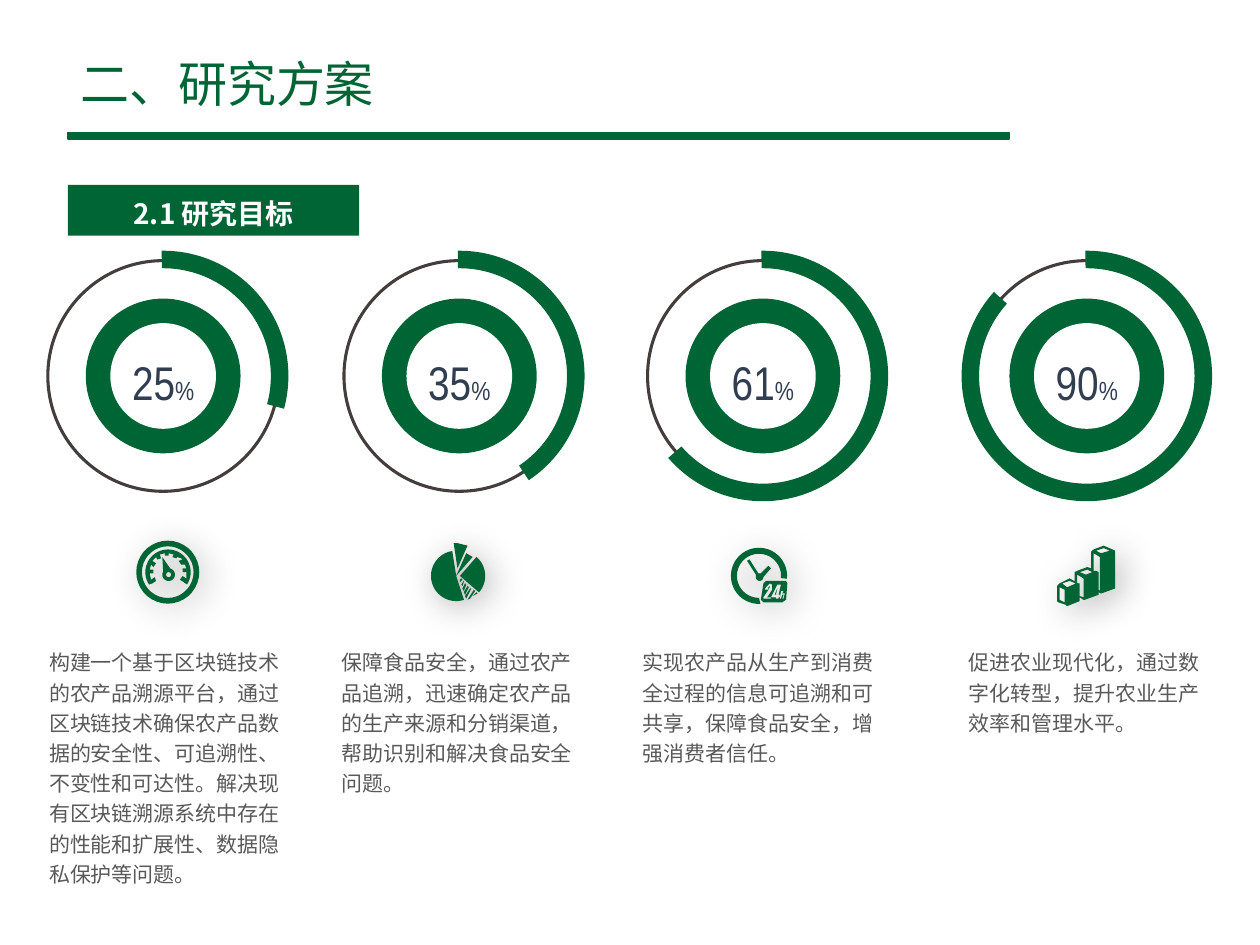
"""Build the research objectives slide with four progress dials."""
from dataclasses import dataclass
from math import cos, radians, sin

from lxml import etree
from pptx import Presentation
from pptx import util as u
from pptx.dml.color import RGBColor
from pptx.enum import shapes, text
from pptx.oxml import ns


@dataclass(frozen=True)
class Theme:
    green: str = "006534"
    outline: str = "433D3C"
    number: str = "313D51"
    body: str = "595959"
    white: str = "FFFFFF"
    cjk: str = "Noto Sans CJK SC"
    narrow: str = "Arial Narrow"
    title_size: int = 28
    label_size: int = 16
    body_size: int = 12
    number_size: int = 27
    percent_size: int = 15


def arc(x, y, radius, start=0, stop=360):
    steps = 36
    angles = [radians(start + (stop - start) * i / steps) for i in range(steps + 1)]
    return [(x + radius * cos(a), y + radius * sin(a)) for a in angles]


THEME = Theme()
TITLE = "二、研究方案"
LABEL = "2.1 研究目标"

GAUGE = [
    arc(25.3, 25, 25),
    arc(25.3, 25, 20.5),
    arc(25.5, 25, 18, 147, 393) + [
        (38, 33), (35, 31), (37, 28), (40, 30), (40, 25), (37, 25), (37, 22), (40, 22),
        (39, 19), (36, 19), (34, 16), (37, 15), (36, 14), (33, 13), (32, 14), (29, 13),
        (30, 11), (26, 10), (26, 12), (23, 12), (23, 10), (19, 11), (20, 14), (17, 15),
        (16, 13), (13, 16), (16, 18), (14, 21), (12, 19), (11, 23), (14, 23), (14, 26),
        (11, 26), (12, 31), (15, 29), (16, 32), (13, 34)],
    [(21, 13)] + arc(26, 27, 5, -75, 210),
    arc(26, 27, 2),
]
PIE = [
    [(23, 26)] + arc(23, 26, 20, -49, 41),
    [(28, 8), (20, 26)] + arc(20, 26, 20, 261, 72) + [(20, 26), (33, 11)],
    [(21, 0), (18, 0), (21, 20), (29, 2)],
    [(37, 40), (33, 42), (36, 39)],
    [(31, 44), (35, 38), (34, 37), (29, 45)],
    [(28, 44), (32, 36), (31, 36), (27, 42)],
    [(27, 41), (30, 35), (29, 34), (26, 39)],
    [(26, 38), (28, 33), (27, 32), (25, 36)],
    [(25, 34), (26, 31), (26, 30), (24, 33)],
    [(23, 31), (25, 29), (24, 28), (23, 29)],
]
CLOCK = [
    arc(22.5, 22, 22.3, 87, 366) + arc(22.5, 22, 17.5, 366, 90),
    [(22, 20), (15, 9), (13, 10), (20, 21)] + arc(23, 23, 3, 180, 0)
    + [(32, 16), (30, 14), (24, 20)],
    [(28, 26), (44, 26), (45, 28), (44, 41), (41, 43), (26, 43), (24, 41), (26, 28)],
    [(32, 40), (32, 39), (29, 39), (33, 33), (33, 29), (31, 28), (28, 31), (27, 33),
     (30, 33), (30, 31), (31, 30), (31, 31), (30, 33), (26, 39), (26, 40)],
    [(39, 39), (39, 37), (38, 37), (40, 29), (37, 29), (33, 37), (32, 39), (36, 39),
     (36, 40), (38, 40), (38, 39)],
    [(36, 37), (37, 32), (35, 37)],
    [(42, 40), (43, 36), (41, 36), (42, 34), (40, 34), (39, 40), (40, 40), (41, 37),
     (42, 37), (41, 40)],
]
BARS = [
    [(14, 21), (16, 20), (24, 17), (27, 18), (27, 5), (29, 3), (37, 0), (44, 3),
     (46, 4), (46, 34), (35, 38), (33, 37), (33, 39), (22, 43), (21, 43), (18, 41),
     (18, 44), (8, 48), (7, 47), (1, 45), (0, 44), (0, 32), (2, 30), (10, 26),
     (17, 30), (18, 30), (18, 40), (21, 41), (21, 26), (16, 23), (16, 29), (14, 28)],
    [(31, 4), (35, 6), (42, 4), (37, 2)],
    [(6, 35), (2, 33), (2, 43), (6, 45)],
    [(18, 21), (23, 23), (28, 21), (24, 19)],
    [(29, 20), (31, 20), (33, 21), (33, 35), (34, 36), (34, 9), (29, 6)],
    [(4, 30), (8, 33), (15, 30), (10, 28)],
]

GOALS = [
    dict(percent="25", end=15.19, center=3.29, left=0.71, icon=GAUGE, icon_at=(2.74, 10.9),
         body="构建一个基于区块链技术的农产品溯源平台，通过区块链技术确保农产品数据的安全性、可追溯性、"
              "不变性和可达性。解决现有区块链溯源系统中存在的性能和扩展性、数据隐私保护等问题。"),
    dict(percent="35", end=56.32, center=9.26, left=6.6, icon=PIE, icon_at=(8.69, 10.95),
         body="保障食品安全，通过农产品追溯，迅速确定农产品的生产来源和分销渠道，帮助识别和解决食品安全问题。"),
    dict(percent="61", end=139.12, center=15.38, left=12.67, icon=CLOCK, icon_at=(14.73, 11.05),
         body="实现农产品从生产到消费全过程的信息可追溯和可共享，保障食品安全，增强消费者信任。"),
    dict(percent="90", end=222.13, center=21.91, left=19.25, icon=BARS, icon_at=(21.31, 11),
         body="促进农业现代化，通过数字化转型，提升农业生产效率和管理水平。"),
]
DIAL_Y = 7.58
ARC_START = 269.32
DEGREE = 0.6


def paint(shape, fill=None, line=None, width=1):
    shape.shadow.inherit = False
    for part, color in ((shape.fill, fill), (shape.line.fill, line)):
        if color:
            part.solid()
            part.fore_color.rgb = RGBColor.from_string(color)
        else:
            part.background()
    if line:
        shape.line.width = u.Pt(width)
    return shape


def write(shape, runs, font_name, size, color, spacing=None, align=text.PP_ALIGN.LEFT,
          anchor=text.MSO_ANCHOR.TOP, margins=(0.25, 0.13), bold=False, wrap=True):
    frame = shape.text_frame
    frame.word_wrap = wrap
    frame.vertical_anchor = anchor
    frame.margin_left = frame.margin_right = u.Cm(margins[0])
    frame.margin_top = frame.margin_bottom = u.Cm(margins[1])
    paragraph = frame.paragraphs[0]
    paragraph.alignment = align
    paragraph.line_spacing = spacing
    font = paragraph.font
    font.name, font.size, font.bold = font_name, u.Pt(size), bold
    font.color.rgb = RGBColor.from_string(color)
    properties = paragraph._p.pPr.find(ns.qn("a:defRPr"))
    etree.SubElement(properties, ns.qn("a:ea"), typeface=font_name)
    for words, run_size in runs:
        run = paragraph.add_run()
        run.text = words
        if run_size != size:
            run.font.size = u.Pt(run_size)


def add_disc(slide, kind, center, diameter, **colors):
    corner = [u.Cm(c - diameter / 2) for c in (center, DIAL_Y)]
    return paint(slide.shapes.add_shape(kind, *corner, u.Cm(diameter), u.Cm(diameter)), **colors)


def add_dial(slide, goal):
    center, oval = goal["center"], shapes.MSO_SHAPE.OVAL
    add_disc(slide, oval, center, 4.65, line=THEME.outline, width=1.75)
    progress = add_disc(slide, shapes.MSO_SHAPE.BLOCK_ARC, center, 5.05, fill=THEME.green)
    for i, value in enumerate((ARC_START * DEGREE, goal["end"] * DEGREE, 0.07)):
        progress.adjustments[i] = value
    add_disc(slide, oval, center, 3.12, fill=THEME.green)
    hub = add_disc(slide, oval, center, 2.13, fill=THEME.white)
    write(hub, [(goal["percent"], THEME.number_size), ("%", THEME.percent_size)],
          THEME.narrow, THEME.number_size, THEME.number, 1.2, text.PP_ALIGN.CENTER,
          text.MSO_ANCHOR.MIDDLE, (0, 0), wrap=False)


def add_icon(slide, contours, position):
    unit = u.Cm(0.0254)
    scaled = [[(x * unit, y * unit) for x, y in contour] for contour in contours]
    builder = slide.shapes.build_freeform(*scaled[0][0])
    for i, contour in enumerate(scaled):
        if i:
            builder.move_to(*contour[0])
        builder.add_line_segments(contour[1:], close=True)
    icon = paint(builder.convert_to_shape(*map(u.Cm, position)), fill=THEME.green)
    effects = icon._element.spPr.find(ns.qn("a:effectLst"))
    shadow = etree.SubElement(effects, ns.qn("a:outerShdw"), blurRad=str(u.Pt(20)),
                              dist=str(u.Pt(5)), dir="2700000", algn="tl", rotWithShape="0")
    color = etree.SubElement(shadow, ns.qn("a:srgbClr"), val="000000")
    etree.SubElement(color, ns.qn("a:alpha"), val="30000")


def main():
    presentation = Presentation()
    presentation.slide_width, presentation.slide_height = u.Cm(25.4), u.Cm(19.05)
    slide = presentation.slides.add_slide(presentation.slide_layouts[6])
    rectangle = shapes.MSO_SHAPE.RECTANGLE
    rule = slide.shapes.add_shape(rectangle, *map(u.Cm, (1.37, 2.67, 18.97, 0.13)))
    paint(rule, fill=THEME.green, line=THEME.green)
    title = slide.shapes.add_textbox(*map(u.Cm, (1.37, 1.07, 13.41, 1.22)))
    write(title, [(TITLE, THEME.title_size)], THEME.cjk, THEME.title_size, THEME.green,
          anchor=text.MSO_ANCHOR.MIDDLE)
    for goal in GOALS:
        add_dial(slide, goal)
        add_icon(slide, goal["icon"], goal["icon_at"])
        body = slide.shapes.add_textbox(*map(u.Cm, (goal["left"], 12.85, 5.33, 4.22)))
        write(body, [(goal["body"], THEME.body_size)], THEME.cjk, THEME.body_size,
              THEME.body, 1.2, margins=(0.28, 0.15))
    label = slide.shapes.add_shape(rectangle, *map(u.Cm, (1.37, 3.73, 5.87, 1.02)))
    paint(label, fill=THEME.green)
    write(label, [(LABEL, THEME.label_size)], THEME.cjk, THEME.label_size, THEME.white,
          1.2, text.PP_ALIGN.CENTER, margins=(0.18, 0.1), bold=True)
    presentation.save("out.pptx")


if __name__ == "__main__":
    main()
